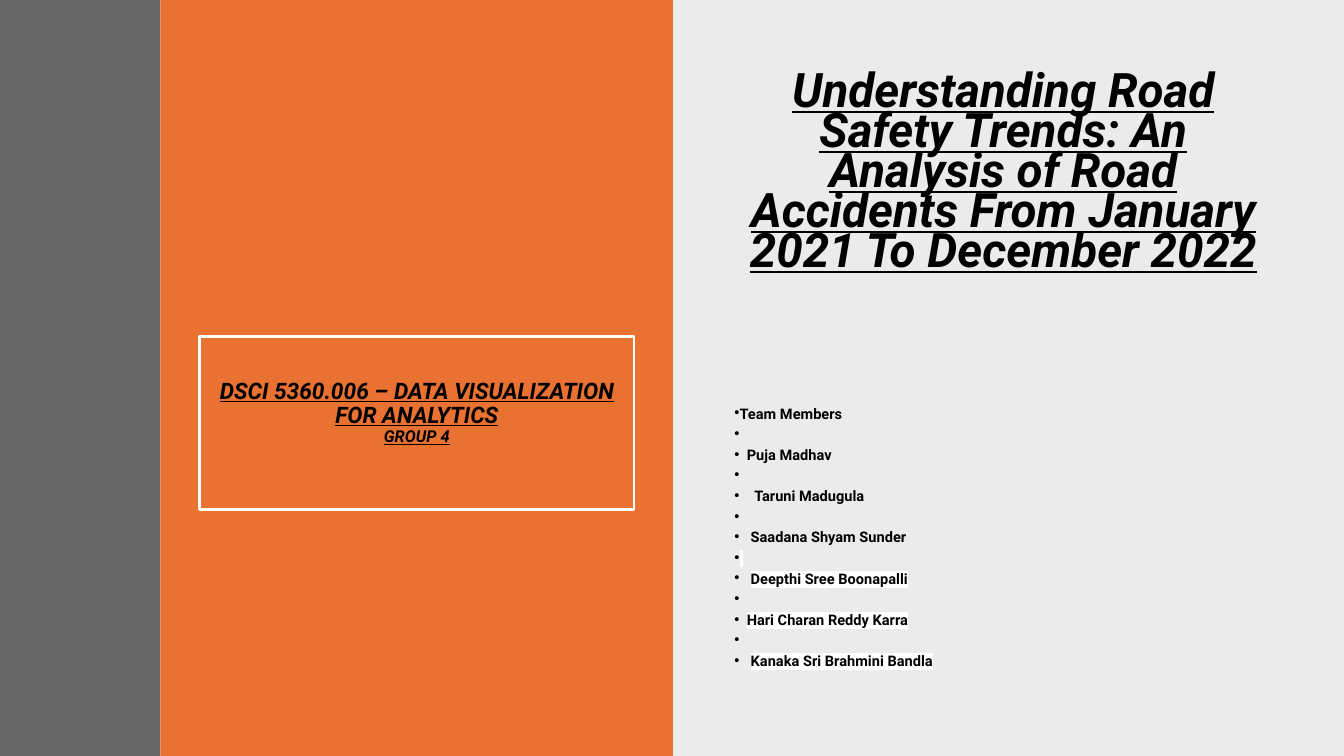
from lxml.etree import SubElement
from pptx import Presentation
from pptx.dml.color import RGBColor
from pptx.enum.shapes import MSO_SHAPE as SHAPE
from pptx.enum.text import MSO_ANCHOR as ANCHOR, PP_ALIGN as ALIGN
from pptx.oxml.ns import qn
from pptx.util import Cm, Pt

WIDTH, HEIGHT = 33.87, 19.05
BLANK = "\u00a0"


def rgb(value):
    return RGBColor.from_string(value)


class SlideBuilder:
    font = "Roboto"
    ink = "000000"
    white = "FFFFFF"

    def __init__(self, slide):
        self.shapes = slide.shapes

    def panel(self, left, top, width, height, fill=None, opacity=100, line=None):
        sp = self.shapes.add_shape(SHAPE.RECTANGLE, Cm(left), Cm(top), Cm(width), Cm(height))
        sp.shadow.inherit = False
        if fill:
            sp.fill.solid()
            sp.fill.fore_color.rgb = rgb(fill)
            if opacity < 100:
                color = sp.fill._xPr.find(".//" + qn("a:srgbClr"))
                SubElement(color, qn("a:alpha"), val=str(opacity * 1000))
        else:
            sp.fill.background()
        if line:
            sp.line.color.rgb = rgb(line)
            sp.line.width = Pt(2)
        else:
            sp.line.fill.background()
        return sp

    def text_box(self, left, top, width, height):
        tf = self.shapes.add_textbox(Cm(left), Cm(top), Cm(width), Cm(height)).text_frame
        tf.word_wrap = True
        return tf

    def paragraph(self, tf, text, size, spacing, align=ALIGN.LEFT, heading=False):
        """Fill the empty first paragraph, or add one after the others."""
        p = tf.add_paragraph() if tf.text else tf.paragraphs[0]
        p.text = text
        p.alignment = align
        p.line_spacing = spacing
        font = p.runs[0].font
        font.name, font.size, font.bold = self.font, Pt(size), True
        font.color.rgb = rgb(self.ink)
        if heading:
            font.italic = font.underline = True
        return p

    def bullet(self, tf, text, indent, highlighted=False):
        p = self.paragraph(tf, text, 10.4, 0.7)
        p.space_after = Pt(6)
        pPr = p._p.get_or_add_pPr()
        pPr.set("marL", str(Cm(indent)))
        pPr.set("indent", str(-Cm(indent)))
        SubElement(pPr, qn("a:buFont"), typeface="Arial")
        SubElement(pPr, qn("a:buChar"), char="•")
        if highlighted:
            rPr = p.runs[0]._r.get_or_add_rPr()
            mark = SubElement(rPr, qn("a:highlight"))
            SubElement(mark, qn("a:srgbClr"), val=self.white)
            rPr.find(qn("a:solidFill")).addnext(mark)


def main():
    prs = Presentation()
    prs.slide_width, prs.slide_height = Cm(WIDTH), Cm(HEIGHT)
    s = SlideBuilder(prs.slides.add_slide(prs.slide_layouts[6]))

    side, middle = 4.04, 16.96
    s.panel(middle, 0, WIDTH - middle, HEIGHT, s.ink, opacity=8)
    s.panel(side, 0, middle - side, HEIGHT, "E97132")
    s.panel(0, 0, side, HEIGHT, "404040", opacity=80)

    course = s.panel(5.03, 8.48, 10.95, 4.37, line=s.white).text_frame
    course.word_wrap = True
    course.vertical_anchor = ANCHOR.MIDDLE
    course.margin_bottom = Cm(0.65)
    for text, size in (("DSCI 5360.006 – DATA VISUALIZATION FOR ANALYTICS", 16.2),
                       ("GROUP 4", 11.7)):
        s.paragraph(course, text, size, 0.9, ALIGN.CENTER, heading=True)

    title = s.text_box(18.26, 1.78, 14.05, 5.64)
    p = s.paragraph(title, "Understanding Road Safety Trends: An Analysis of Road "
                    "Accidents From January 2021 To December 2022",
                    34, 0.7, ALIGN.CENTER, heading=True)
    p.space_before = Pt(10)

    team = s.text_box(18.26, 10.19, 14.05, 7.09)
    base = 0.13
    members = (  # name, indent, name highlighted, gap above highlighted
        ("Puja Madhav", 0.31, False, False),
        ("Taruni Madugula", 0.5, False, False),
        ("Saadana Shyam Sunder", 0.41, False, False),
        ("Deepthi Sree Boonapalli", 0.41, True, True),
        ("Hari Charan Reddy Karra", 0.31, True, False),
        ("Kanaka Sri Brahmini Bandla", 0.41, True, False),
    )
    s.bullet(team, "Team Members", base)
    for name, indent, highlighted, gap_highlighted in members:
        s.bullet(team, BLANK, base, gap_highlighted)
        s.bullet(team, name, indent, highlighted)

    prs.save("out.pptx")


if __name__ == "__main__":
    main()
